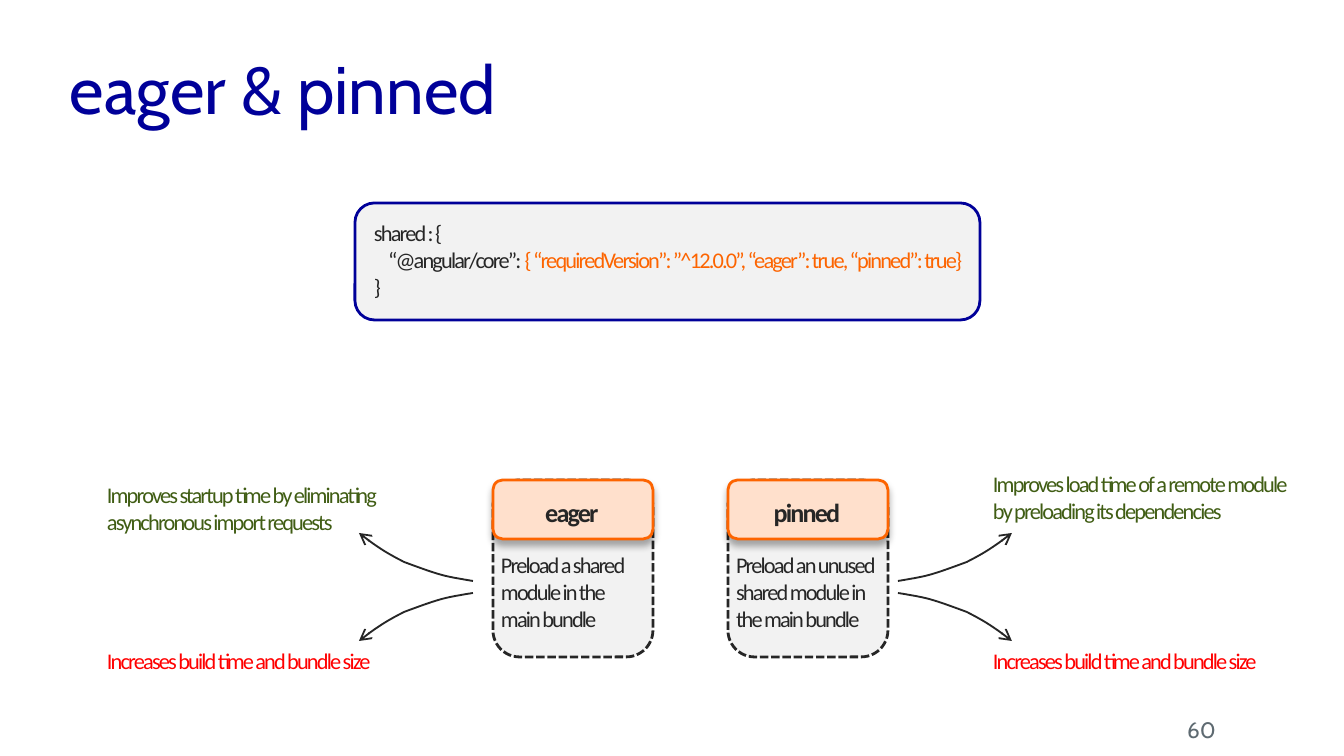
import pptx
import pptx.dml.color
import pptx.enum.dml
import pptx.enum.shapes
import pptx.enum.text
import pptx.oxml
import pptx.util

PX = 914400 / 134.4
DRAWING_NS = 'xmlns:a="http://schemas.openxmlformats.org/drawingml/2006/main"'
COLOURS = {
    "navy": "000099", "grey": "F2F2F2", "ink": "262626", "orange": "FD6400",
    "peach": "FFE0CC", "green": "405D14", "red": "FF0000", "slate": "5E6A71",
}
COLOURS = {name: pptx.dml.color.RGBColor.from_string(code) for name, code in COLOURS.items()}
ANCHOR = pptx.enum.text.MSO_ANCHOR
ALIGN = pptx.enum.text.PP_ALIGN
DASH = pptx.enum.dml.MSO_LINE


def add_text(bounds, paragraphs, size=12, font="Calibri", bold=False, spacing=-100,
             align=ALIGN.LEFT, anchor=ANCHOR.TOP, insets=(0, 7, 0, 7)):
    """Each paragraph is a list of (text, colour name) spans; spacing is in 1/100 pt."""
    box = page.shapes.add_textbox(*[round(length * PX) for length in bounds])
    frame = box.text_frame
    left, top, right, bottom = [round(inset * PX) for inset in insets]
    frame_format = {
        "word_wrap": True, "vertical_anchor": anchor, "margin_left": left,
        "margin_top": top, "margin_right": right, "margin_bottom": bottom,
    }
    for name, value in frame_format.items():
        setattr(frame, name, value)
    for index, spans in enumerate(paragraphs):
        para = frame.add_paragraph() if index else frame.paragraphs[0]
        para.alignment = align
        for text, colour in spans:
            span = para.add_run()
            span.text = text
            for name, value in {"name": font, "size": pptx.util.Pt(size), "bold": bold}.items():
                setattr(span.font, name, value)
            span.font.color.rgb = COLOURS[colour]
            if spacing:
                span.font._element.set("spc", str(spacing))
    return frame


def add_round_box(bounds, fill, line, dash=None):
    box = page.shapes.add_shape(pptx.enum.shapes.MSO_SHAPE.ROUNDED_RECTANGLE,
                                *[round(length * PX) for length in bounds])
    box.shadow.inherit = False
    box.fill.solid()
    box.fill.fore_color.rgb = COLOURS[fill]
    box.line.color.rgb = COLOURS[line]
    box.line.width = pptx.util.Pt(1.5)
    if dash:
        box.line.dash_style = dash
    return box


deck = pptx.Presentation()
deck.slide_width = round(1344 * PX)
deck.slide_height = round(756 * PX)
page = deck.slides.add_slide(deck.slide_layouts[6])

# Title and page number
title = add_text((70, 28, 1148, 129), [[("eager & pinned", "navy")]], size=36, font="Cabin",
                 spacing=0, anchor=ANCHOR.MIDDLE, insets=(0, 0, 0, 0))
title.paragraphs[0].line_spacing = 0.9
add_text((1122, 715, 94, 30), [[("60", "slate")]], font="Cabin", spacing=0,
         align=ALIGN.RIGHT, anchor=ANCHOR.MIDDLE, insets=(13, 7, 0, 7))

# Configuration code
add_round_box((355, 203, 625, 117), "grey", "navy")
code = add_text((374, 212, 597, 96), [
    [("shared : {", "ink")],
    [("“@angular/core”: ", "ink"),
     ("{ “requiredVersion”: ”^12.0.0”, “eager”: true, “pinned”: true}", "orange")],
    [("}", "ink")],
])
code.paragraphs[1]._p.get_or_add_pPr().set("marL", str(round(14 * PX)))

# Option cards
cards = [
    (493, "eager ", "Preload a shared module in the main bundle"),
    (728, "pinned ", "Preload an unused shared module in the main bundle"),
]
for left, heading, description in cards:
    add_round_box((left, 480, 160, 177), "grey", "ink", DASH.SQUARE_DOT)
    header = add_round_box((left, 480, 160, 59), "peach", "orange")
    effects = header._element.spPr.find(pptx.oxml.ns.qn("a:effectLst"))
    effects.append(pptx.oxml.parse_xml(
        f'<a:outerShdw {DRAWING_NS} blurRad="50800" dist="38100" dir="5400000" algn="t" '
        'rotWithShape="0"><a:srgbClr val="000000"><a:alpha val="32000"/></a:srgbClr>'
        '</a:outerShdw>'))
    add_text((left + 10, 489, 142, 46), [[(heading, "ink")]], size=14, bold=True,
             align=ALIGN.CENTER)
    add_text((left + 8, 544, 143, 96), [[(description, "ink")]])

# Benefits and costs
effects_of_options = [
    ((107, 474, 327, 68), "Improves startup time by eliminating asynchronous import requests", "green"),
    ((993, 463, 311, 68), "Improves load time of a remote module by preloading its dependencies", "green"),
    ((107, 640, 327, 41), "Increases build time and bundle size", "red"),
    ((993, 640, 327, 41), "Increases build time and bundle size", "red"),
]
for bounds, text, colour in effects_of_options:
    add_text(bounds, [[(text, colour)]])

# Curved arrows: two Bezier segments, mirrored to each side and up or down
segments = [
    [(0, 0), (30, 5), (31, 5), (69, 19)],
    [(69, 19), (82, 26), (91, 30), (114, 48)],
]
STEPS = 12
curve = [(0, 0)]
for controls in segments:
    for step in range(1, STEPS + 1):
        t = step / STEPS
        weights = ((1 - t) ** 3, 3 * t * (1 - t) ** 2, 3 * t ** 2 * (1 - t), t ** 3)
        curve.append(tuple(sum(w * point[axis] for w, point in zip(weights, controls))
                           for axis in (0, 1)))
for start_x, side in ((473, -1), (898, 1)):
    for start_y, direction in ((581, -1), (593, 1)):
        points = [(round((start_x + side * x) * PX), round((start_y + direction * y) * PX))
                  for x, y in curve]
        builder = page.shapes.build_freeform(*points[0])
        builder.add_line_segments(points[1:], close=False)
        arrow = builder.convert_to_shape()
        arrow.shadow.inherit = False
        arrow.fill.background()
        arrow.line.color.rgb = COLOURS["ink"]
        arrow.line.width = pptx.util.Pt(1)
        arrow.line._get_or_add_ln().append(
            pptx.oxml.parse_xml(f'<a:tailEnd {DRAWING_NS} type="arrow"/>'))

deck.save("out.pptx")
